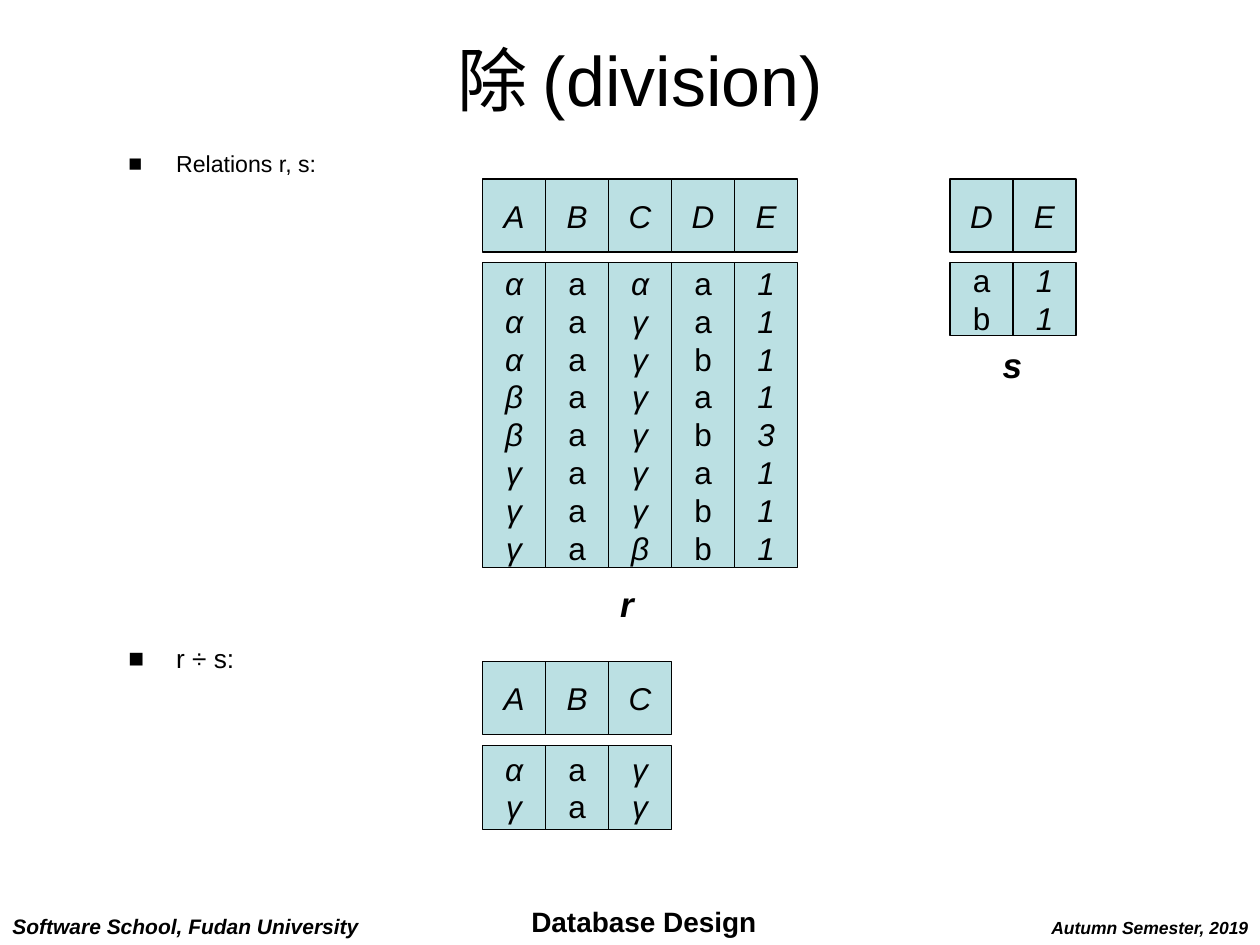
from lxml.etree import SubElement
from pptx import Presentation
from pptx.dml.color import RGBColor
from pptx.enum.shapes import MSO_SHAPE
from pptx.enum.text import MSO_ANCHOR, MSO_AUTO_SIZE, PP_ALIGN
from pptx.oxml.ns import qn
from pptx.util import Inches, Pt

COLORS = {"ink": "000000", "cell": "BBE0E3"}
COLUMN = 0.5
HEADER_ROW = 0.58
BODY_OFFSET = 0.665

deck = Presentation()
deck.slide_width, deck.slide_height = Inches(10), Inches(7.5)
slide = deck.slides.add_slide(deck.slide_layouts[6])


def write(holder, text, size, bold=False, italic=False,
          align=PP_ALIGN.CENTER, anchor=MSO_ANCHOR.MIDDLE, wrap=False):
    """Fill a shape's text frame and format every paragraph alike."""
    frame = holder.text_frame
    frame.text = text
    frame.word_wrap = wrap
    frame.vertical_anchor = anchor
    for paragraph in frame.paragraphs:
        paragraph.alignment = align
        for run in paragraph.runs:
            font = run.font
            font.name, font.size = "Arial", Pt(size)
            font.bold, font.italic = bold, italic
            font.color.rgb = RGBColor.from_string(COLORS["ink"])
    return frame


def add_cell(left, top, height, text, italic):
    cell = slide.shapes.add_shape(MSO_SHAPE.RECTANGLE, Inches(left), Inches(top),
                                  Inches(COLUMN), Inches(height))
    cell.shadow.inherit = False
    cell.fill.solid()
    cell.fill.fore_color.rgb = RGBColor.from_string(COLORS["cell"])
    cell.line.color.rgb = RGBColor.from_string(COLORS["ink"])
    cell.line.width = Pt(0.75)
    write(cell, text, 18, italic=italic)


# Footer: left, top, width, height, text, size, italic, alignment
footers = [
    (8.24, 7.23, 1.77, 0.27, "Autumn Semester, 2019", 10, True, PP_ALIGN.CENTER),
    (4.1, 7.13, 2.02, 0.37, "Database Design", 16, False, PP_ALIGN.CENTER),
    (0, 7.2, 2.95, 0.3, "Software School, Fudan University", 12, True, PP_ALIGN.LEFT),
]
for left, top, width, height, text, size, italic, align in footers:
    footer = slide.shapes.add_textbox(Inches(left), Inches(top), Inches(width), Inches(height))
    frame = write(footer, text, size, bold=True, italic=italic, align=align,
                  anchor=MSO_ANCHOR.TOP)
    frame.auto_size = MSO_AUTO_SIZE.SHAPE_TO_FIT_TEXT

title = slide.shapes.add_textbox(Inches(0.58), 0, Inches(9), Inches(1.25))
write(title, "除 (division)", 40, wrap=True)

# Relations: left, top, body height, {attribute: values from top to bottom}
relations = [
    (3.83, 1.42, 2.42, {"A": "αααββγγγ", "B": "aaaaaaaa", "C": "αγγγγγγβ",
                        "D": "aabababb", "E": "11113111"}),
    (7.54, 1.42, 0.58, {"D": "ab", "E": "11"}),
    (3.83, 5.25, 0.67, {"A": "αγ", "B": "aa", "C": "γγ"}),
]
for left, top, body_height, attributes in relations:
    for index, (attribute, values) in enumerate(attributes.items()):
        column_left = left + index * COLUMN
        add_cell(column_left, top, HEADER_ROW, attribute, True)
        add_cell(column_left, top + BODY_OFFSET, body_height, "\n".join(values),
                 attribute not in "BD")

# Bulleted labels
for top, width, height, text, size in [(1.18, 3, 0.32, "Relations r, s:", 13.2),
                                       (5.1, 1.42, 0.36, "r ÷ s:", 15)]:
    label = slide.shapes.add_textbox(Inches(0.92), Inches(top), Inches(width), Inches(height))
    frame = write(label, text, size, align=PP_ALIGN.LEFT, anchor=MSO_ANCHOR.TOP, wrap=True)
    paragraph = frame.paragraphs[0]
    paragraph.line_spacing = 0.8
    properties = paragraph._p.get_or_add_pPr()
    properties.set("marL", str(Inches(0.38)))
    properties.set("indent", str(-Inches(0.38)))
    bullet_color = SubElement(properties, qn("a:buClr"))
    SubElement(bullet_color, qn("a:srgbClr"), val=COLORS["ink"])
    SubElement(properties, qn("a:buFont"), typeface="Arial")
    SubElement(properties, qn("a:buChar"), char="■")

# Relation names
for left, top, width, name in [(4.82, 4.57, 0.31, "r"), (7.86, 2.67, 0.35, "s")]:
    caption = slide.shapes.add_textbox(Inches(left), Inches(top), Inches(width), Inches(0.44))
    frame = write(caption, name, 20, bold=True, italic=True)
    frame.auto_size = MSO_AUTO_SIZE.SHAPE_TO_FIT_TEXT

deck.save("out.pptx")
